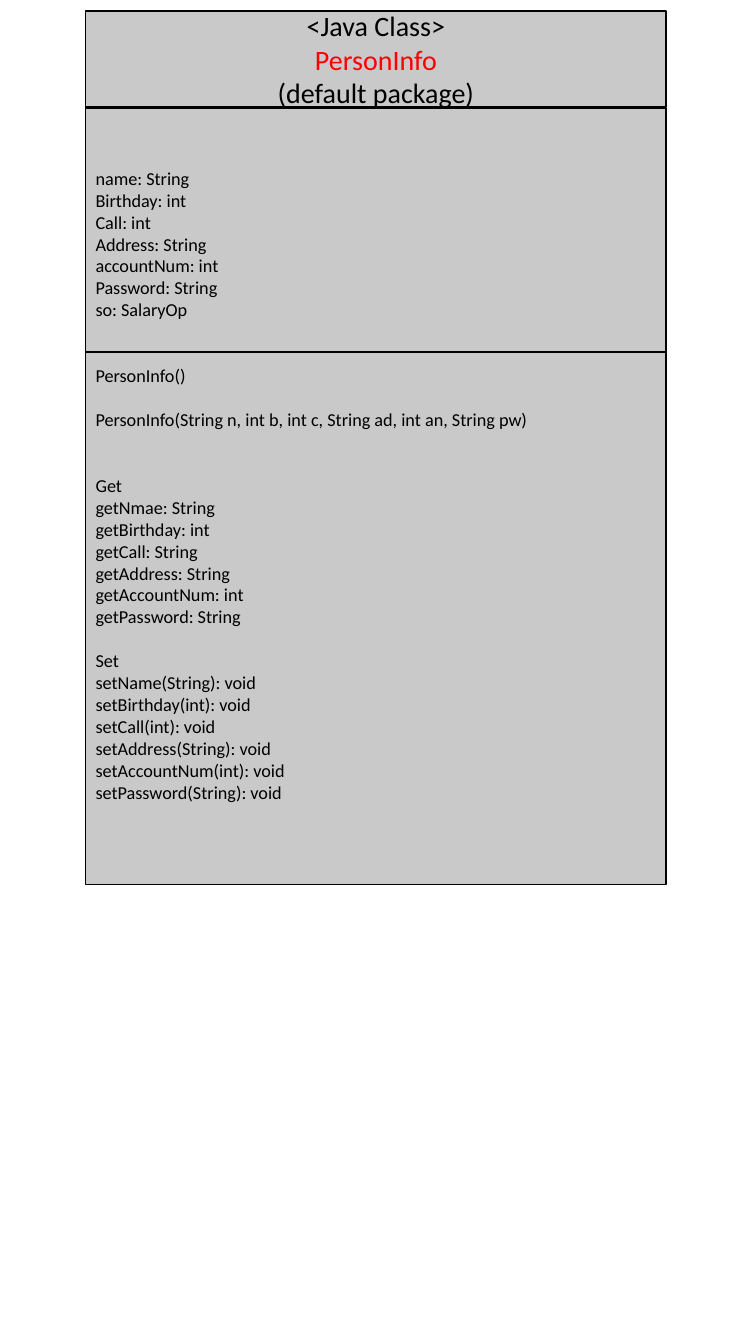
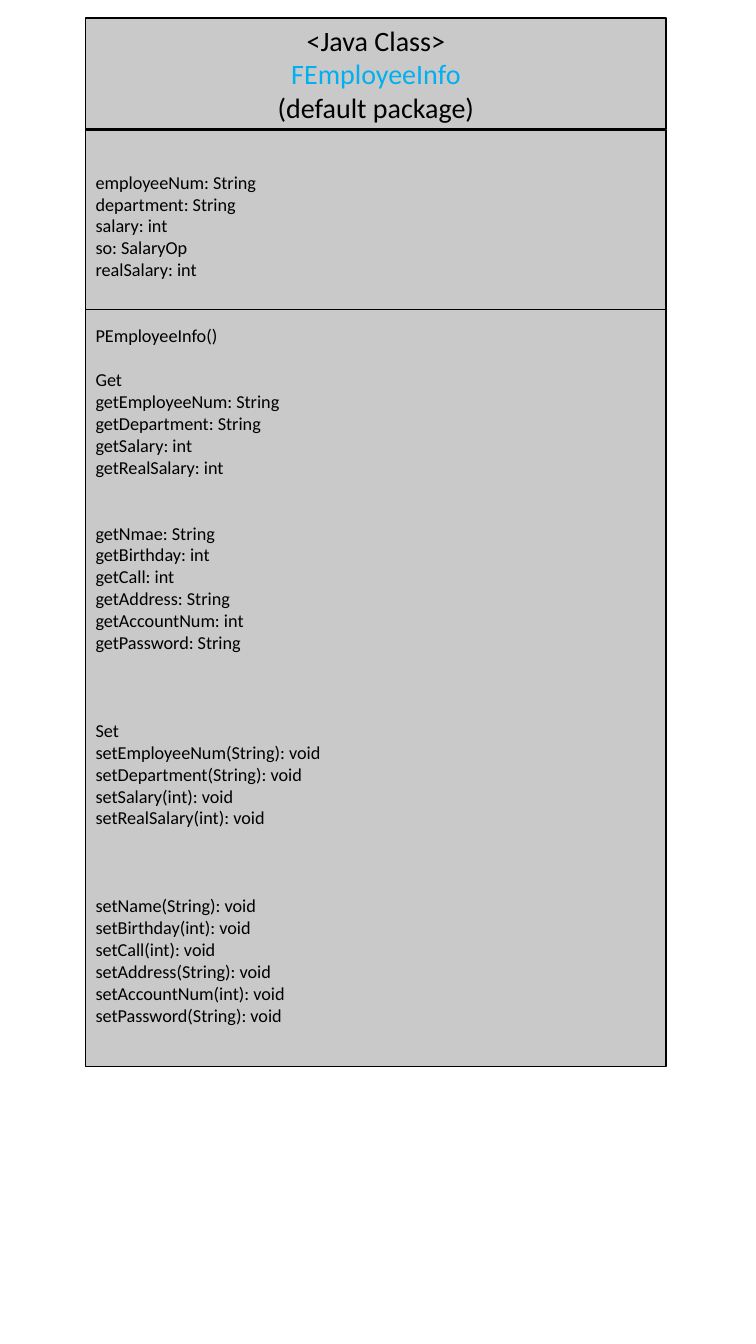
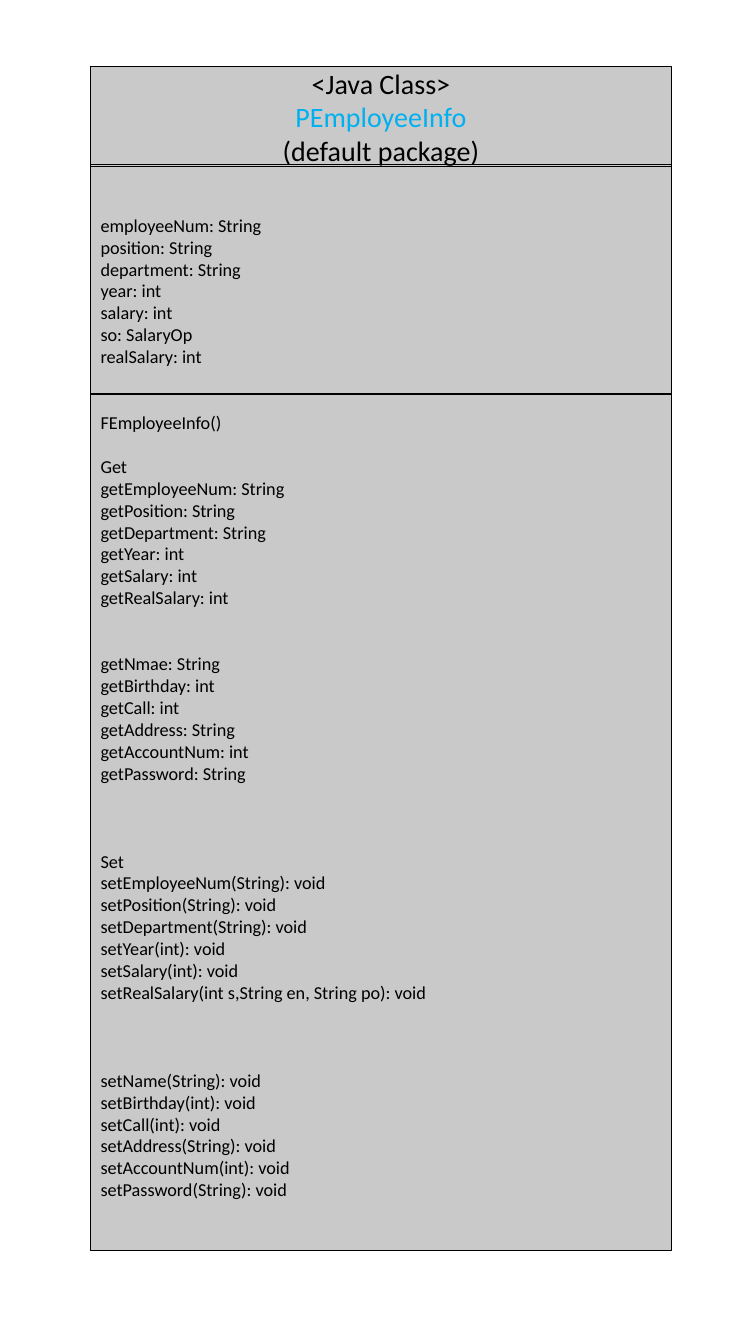
from dataclasses import dataclass
from pptx import Presentation, util as u
from pptx.dml.color import RGBColor
from pptx.enum import shapes, text


@dataclass(frozen=True)
class Theme:
    font: str = "Calibri"
    fill: str = "C9C9C9"
    ink: str = "000000"
    base: str = "FF0000"
    child: str = "00B0F0"
    title: int = 20
    body: int = 13
    pitch: float = 15.75
    line: int = 1


@dataclass(frozen=True)
class Box:
    left: float
    top: float
    width: float
    height: float


T = Theme()
COLS, ROWS = 75, 133.3
CELL = u.Inches(0.1)
WIDE = 57.6


def rect(slide, box, fill=None, line=None):
    sides = (box.left, box.top, box.width, box.height)
    shape = slide.shapes.add_shape(
        shapes.MSO_SHAPE.RECTANGLE, *(round(n * CELL) for n in sides))
    shape.shadow.inherit = False
    if fill:
        shape.fill.solid()
        shape.fill.fore_color.rgb = RGBColor.from_string(fill)
    else:
        shape.fill.background()
    if line:
        shape.line.color.rgb = RGBColor.from_string(line)
        shape.line.width = u.Pt(T.line)
    else:
        shape.line.fill.background()
    return shape


def write(shape, rows, size, align):
    frame = shape.text_frame
    frame.word_wrap = True
    frame.vertical_anchor = text.MSO_ANCHOR.MIDDLE
    for i, (words, color, gap) in enumerate(rows):
        para = frame.add_paragraph() if i else frame.paragraphs[0]
        para.alignment = align
        para.space_before = u.Pt(gap * T.pitch)
        run = para.add_run()
        run.text = words
        run.font.name = T.font
        run.font.size = u.Pt(size)
        run.font.color.rgb = RGBColor.from_string(color)


def header(slide, box, name, color):
    shape = rect(slide, box, T.fill, T.ink)
    frame = shape.text_frame
    frame.margin_left = frame.margin_right = u.Inches(0.06)
    frame.margin_top = frame.margin_bottom = u.Inches(0.03)
    rows = [("<Java Class>", T.ink, 0), (name, color, 0),
            ("(default package)", T.ink, 0)]
    write(shape, rows, T.title, text.PP_ALIGN.CENTER)


def members(slide, box, groups, tail):
    shape = rect(slide, box, T.fill)
    shape.text_frame.margin_bottom = u.Inches(0.05) + u.Pt(tail * T.pitch)
    rows = [(words, T.ink, 0 if i else gap)
            for gap, lines in groups for i, words in enumerate(lines)]
    write(shape, rows, T.body, text.PP_ALIGN.LEFT)


def diagram(slide, box, name, color, head, seam, fields, groups, tail=0):
    top = box.top + head + seam
    rest = box.top + box.height - top
    members(slide, Box(box.left, top, box.width, rest), groups, tail)
    header(slide, Box(box.left, box.top, box.width, head), name, color)
    rect(slide, Box(box.left, top, box.width, fields), line=T.ink)
    rect(slide, Box(box.left, top + fields, box.width, rest - fields),
         line=T.ink)


def getters(*fields):
    return [f"get{field}" for field in fields]


def setters(**fields):
    return [f"set{name}({kind}): void" for name, kind in fields.items()]


def person(call):
    return getters("Nmae: String", "Birthday: int", f"Call: {call}",
                   "Address: String", "AccountNum: int", "Password: String")


STORE = setters(Name="String", Birthday="int", Call="int", Address="String",
                AccountNum="int", Password="String")

CLASSES = [
    dict(box=Box(8.5, 1.1, WIDE, 86.6), name="PersonInfo", color=T.base,
         head=9.5, seam=0.1, fields=24.2, tail=1, groups=[
             (0, ["name: String", "Birthday: int", "Call: int",
                  "Address: String", "accountNum: int", "Password: String",
                  "so: SalaryOp"]),
             (2, ["PersonInfo()"]),
             (1, ["PersonInfo(String n, int b, int c, String ad, "
                  "int an, String pw)"]),
             (2, ["Get"] + person("String")),
             (1, ["Set"] + STORE)]),
    dict(box=Box(8.5, 1.8, WIDE, 104), name="FEmployeeInfo", color=T.child,
         head=11, seam=0.1, fields=17.8, groups=[
             (0, ["employeeNum: String", "department: String", "salary: int",
                  "so: SalaryOp", "realSalary: int"]),
             (2, ["PEmployeeInfo()"]),
             (1, ["Get"] + getters("EmployeeNum: String",
                                   "Department: String", "Salary: int",
                                   "RealSalary: int")),
             (2, person("int")),
             (3, ["Set"] + setters(EmployeeNum="String", Department="String",
                                   Salary="int", RealSalary="int")),
             (3, STORE)]),
    dict(box=Box(9, 6.6, WIDE, 117.4), name="PEmployeeInfo", color=T.child,
         head=9.9, seam=-0.2, fields=22.8, groups=[
             (0, ["employeeNum: String", "position: String",
                  "department: String", "year: int", "salary: int",
                  "so: SalaryOp", "realSalary: int"]),
             (2, ["FEmployeeInfo()"]),
             (1, ["Get"] + getters("EmployeeNum: String", "Position: String",
                                   "Department: String", "Year: int",
                                   "Salary: int", "RealSalary: int")),
             (2, person("int")),
             (3, ["Set"] + setters(EmployeeNum="String", Position="String",
                                   Department="String", Year="int",
                                   Salary="int",
                                   RealSalary="int s,String en, String po")),
             (3, STORE)]),
]


def main():
    deck = Presentation()
    deck.slide_width = round(COLS * CELL)
    deck.slide_height = round(ROWS * CELL)
    for item in CLASSES:
        diagram(deck.slides.add_slide(deck.slide_layouts[6]), **item)
    deck.save("out.pptx")


if __name__ == "__main__":
    main()
